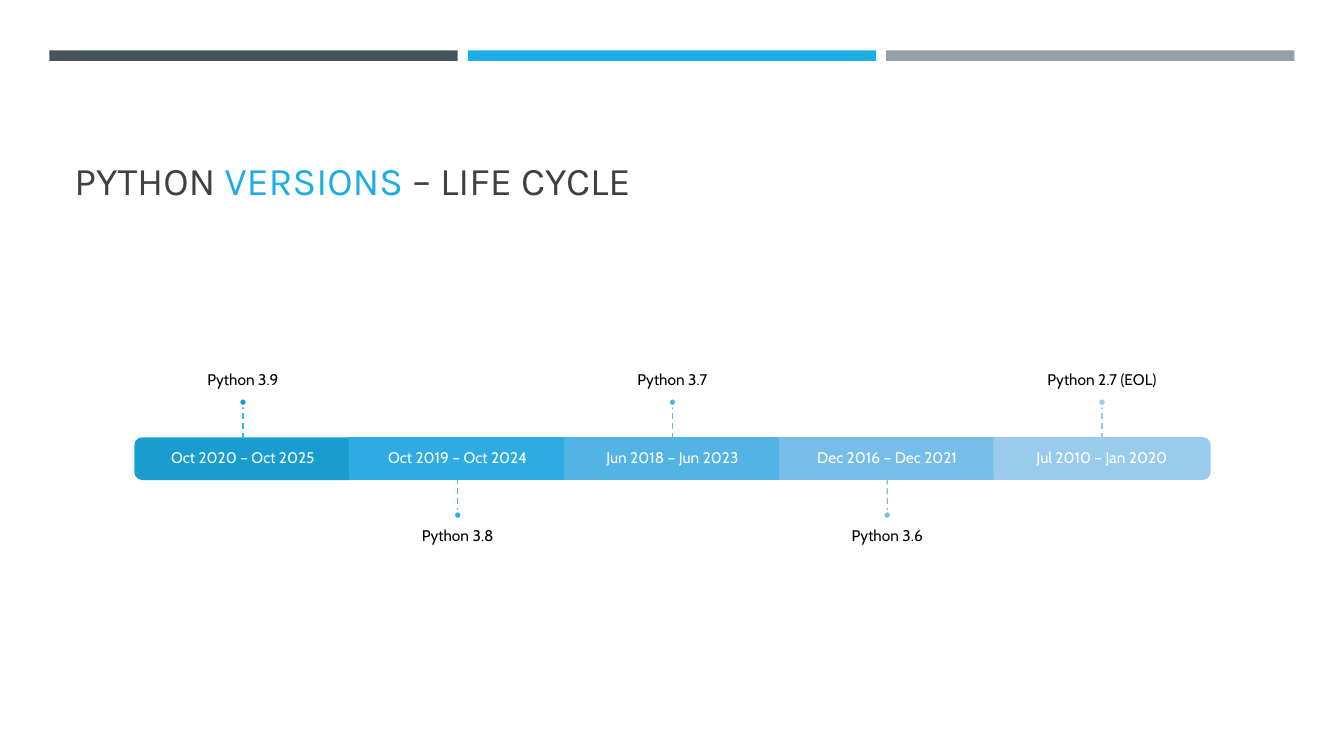
from pptx import Presentation
from pptx.dml.color import RGBColor
from pptx.enum.dml import MSO_LINE
from pptx.enum.shapes import MSO_CONNECTOR, MSO_SHAPE as Shape
from pptx.enum.text import MSO_ANCHOR as Anchor, PP_ALIGN as Align
from pptx.oxml.ns import qn
from pptx.util import Inches, Pt

PAGE_WIDTH, PAGE_HEIGHT = 13.33, 7.5
COLUMN, ROW = 2.13, 0.4
GRID_LEFT, GRID_TOP = 1.345, 4.35
STEM, DOT = 0.8, 0.2  # in rows

WHITE = RGBColor(0xFF, 0xFF, 0xFF)
BLACK = RGBColor(0x00, 0x00, 0x00)
CHARCOAL = RGBColor(0x40, 0x40, 0x40)
SLATE = RGBColor(0x46, 0x53, 0x59)
BLUE = RGBColor(0x1C, 0xAD, 0xE4)
GREY = RGBColor(0x96, 0x9F, 0xA7)

# version, life span, bar colour, stem colour
RELEASES = [
    ("Python 3.9", "Oct 2020 – Oct 2025", RGBColor(0x19, 0x9D, 0xCF), RGBColor(0x36, 0xB3, 0xE9)),
    ("Python 3.8", "Oct 2019 – Oct 2024", RGBColor(0x2D, 0xAB, 0xE2), RGBColor(0x48, 0xB8, 0xEC)),
    ("Python 3.7", "Jun 2018 – Jun 2023", RGBColor(0x52, 0xB3, 0xE5), RGBColor(0x5A, 0xBE, 0xEF)),
    ("Python 3.6", "Dec 2016 – Dec 2021", RGBColor(0x76, 0xBE, 0xE8), RGBColor(0x77, 0xBF, 0xE9)),
    ("Python 2.7 (EOL)", "Jul 2010 – Jan 2020", RGBColor(0x99, 0xCB, 0xEC), RGBColor(0x98, 0xCB, 0xEC)),
]


def cells(column, row, columns, rows):
    """Area on the timeline grid, whose row 0 is the bar."""
    return (Inches(GRID_LEFT + column * COLUMN), Inches(GRID_TOP + row * ROW),
            Inches(columns * COLUMN), Inches(rows * ROW))


def shares(left, top, width, height):
    """Area given in percent of the slide's size."""
    return (Inches(left * PAGE_WIDTH / 100), Inches(top * PAGE_HEIGHT / 100),
            Inches(width * PAGE_WIDTH / 100), Inches(height * PAGE_HEIGHT / 100))


class Timeline:
    title_font, body_font = "Karla", "Cabin"
    title_size, body_size = Pt(28), Pt(11)
    outline, stem_width, padding = Pt(1.75), Pt(1), Inches(0.09)

    def __init__(self, deck):
        self.page = deck.slides.add_slide(deck.slide_layouts[6])

    def shape(self, kind, area, fill, line=None):
        shape = self.page.shapes.add_shape(kind, *area)
        shape.shadow.inherit = False
        shape.fill.solid()
        shape.fill.fore_color.rgb = fill
        if line is None:
            shape.line.fill.background()
        else:
            shape.line.color.rgb = line
            shape.line.width = self.outline
        return shape

    def rounded_end(self, column, fill, rotation):
        """Bar segment made from an upright shape turned on its side."""
        left, top, width, height = cells(column, 0, 1, 1)
        shift = (width - height) // 2
        bar = self.shape(Shape.ROUND_2_SAME_RECTANGLE,
                         (left + shift, top - shift, height, width), fill, fill)
        bar.rotation = rotation

    def text(self, area, spans, font, size, anchor, align=Align.LEFT, insets=None, spacing=None):
        frame = self.page.shapes.add_textbox(*area).text_frame
        frame.word_wrap = True
        frame.vertical_anchor = anchor
        if insets is not None:
            (frame.margin_left, frame.margin_top,
             frame.margin_right, frame.margin_bottom) = insets
        para = frame.paragraphs[0]
        para.alignment = align
        para.line_spacing = spacing
        for words, colour in spans:
            span = para.add_run()
            span.text = words
            span.font.name = font
            span.font.size = size
            span.font.color.rgb = colour

    def title(self, area, spans):
        self.text(area, spans, self.title_font, self.title_size, Anchor.BOTTOM)

    def caption(self, area, words, colour, anchor, insets):
        self.text(area, [(words, colour)], self.body_font, self.body_size,
                  anchor, Align.CENTER, insets, 0.9)

    def stem(self, column, start, end, colour, bar, side):
        left, top, _, _ = cells(column, start, 0, 0)
        _, bottom, _, _ = cells(column, end, 0, 0)
        line = self.page.shapes.add_connector(MSO_CONNECTOR.STRAIGHT, left, top, left, bottom)
        if bar is not None:
            line.begin_connect(bar, side)
        line.line.color.rgb = colour
        line.line.width = self.stem_width
        line.line.dash_style = MSO_LINE.DASH
        properties = line._element.spPr
        properties.append(properties.makeelement(qn("a:effectLst"), {}))

    def release(self, index, version, span, colour, stem_colour):
        bar = None
        if index == 0:
            self.rounded_end(index, colour, 270)
        elif index == len(RELEASES) - 1:
            self.rounded_end(index, colour, 90)
        else:
            bar = self.shape(Shape.RECTANGLE, cells(index, 0, 1, 1), colour, colour)
        self.caption(cells(index, 0, 1, 1), span, WHITE, Anchor.MIDDLE, [self.padding] * 4)

        middle, label_rows = index + 0.5, 3.5
        if index % 2 == 0:
            start, end, side = 0, -STEM, 0
            dot_top, label_top = end - DOT, end - DOT - label_rows
            anchor, insets = Anchor.BOTTOM, (0, 0, 0, self.padding)
        else:
            start, end, side = 1, 1 + STEM, 2
            dot_top, label_top = end, end + DOT
            anchor, insets = Anchor.TOP, (0, self.padding, 0, 0)
        self.caption(cells(index - 0.33, label_top, 1.66, label_rows),
                     version, BLACK, anchor, insets)
        self.stem(middle, start, end, stem_colour, bar, side)
        dot_columns = DOT * ROW / COLUMN
        self.shape(Shape.OVAL, cells(middle - dot_columns / 2, dot_top, dot_columns, DOT),
                   colour, WHITE)


def main():
    deck = Presentation()
    deck.slide_width, deck.slide_height = Inches(PAGE_WIDTH), Inches(PAGE_HEIGHT)
    timeline = Timeline(deck)
    for index, colour in enumerate((SLATE, BLUE, GREY)):
        timeline.shape(Shape.RECTANGLE, shares(3.68 + index * 31.13, 6.67, 30.38, 1.4), colour)
    timeline.title(shares(4.8, 10.27, 90.47, 17.33),
                   [("PYTHON ", CHARCOAL), ("VERSIONS", BLUE), (" – LIFE CYCLE", CHARCOAL)])
    for index, release in enumerate(RELEASES):
        timeline.release(index, *release)
    deck.save("out.pptx")


if __name__ == "__main__":
    main()
